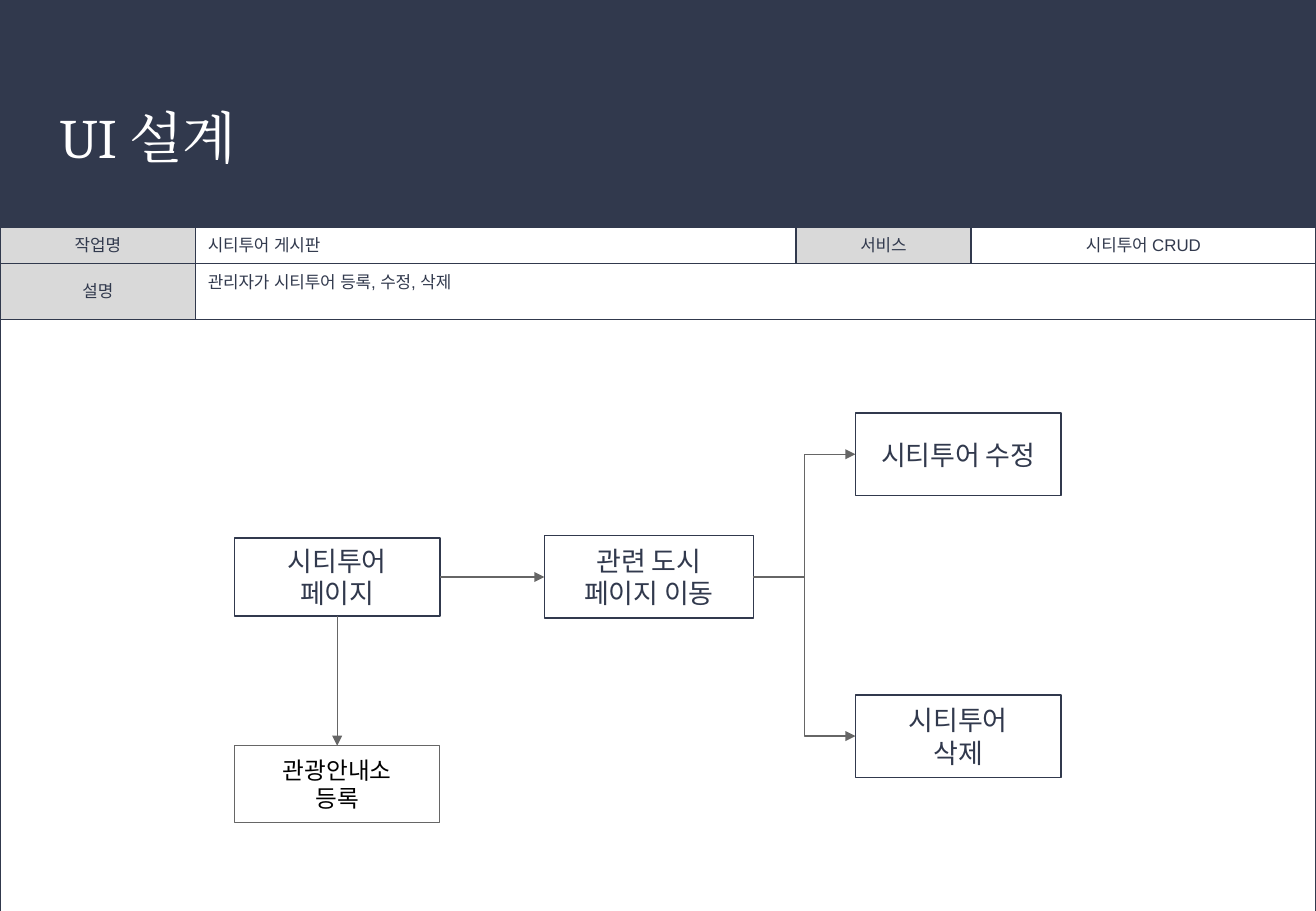
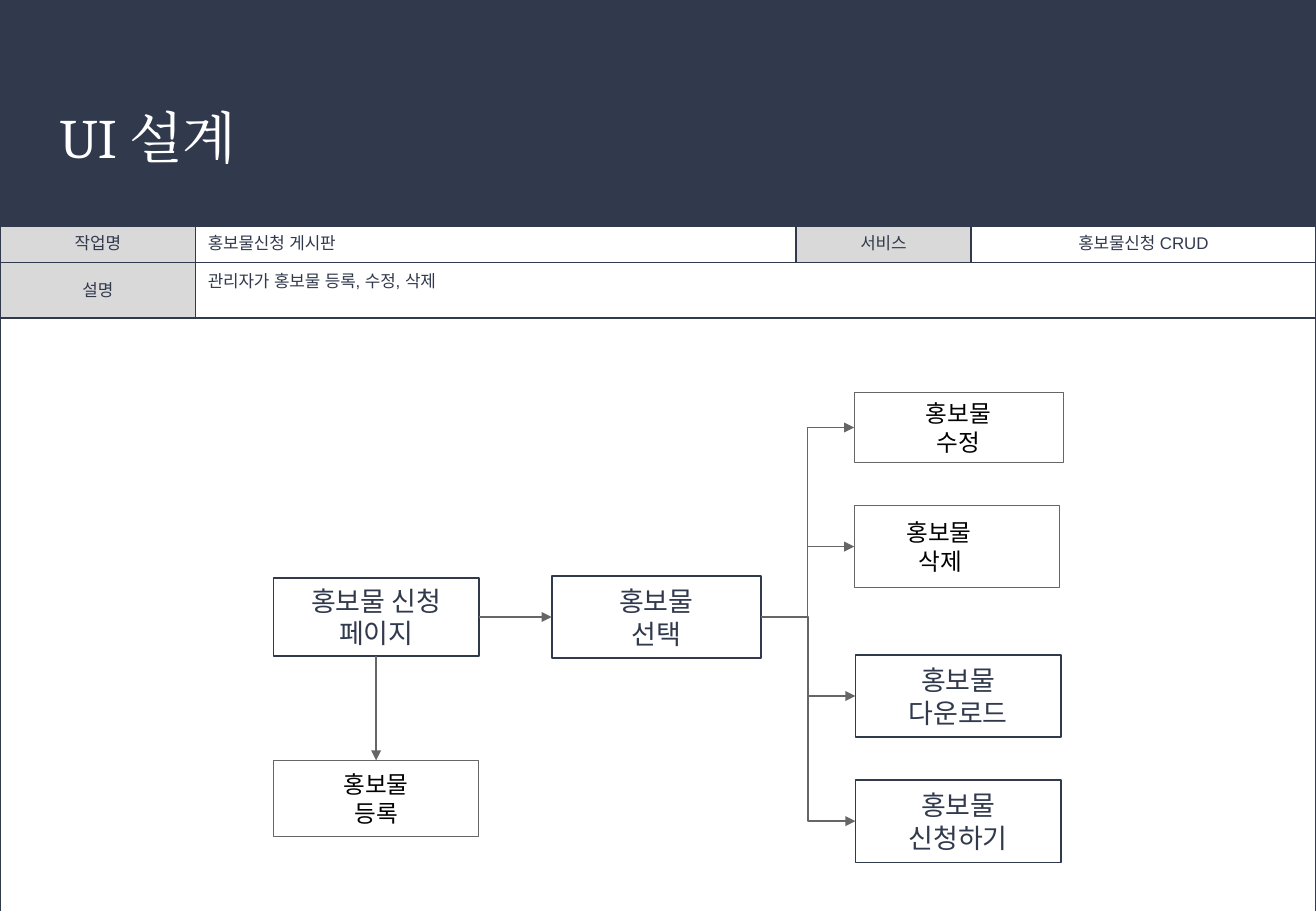
"""Build two UI design slides, each with a task table and a page flow diagram."""
from dataclasses import dataclass

from lxml import etree
from pptx import Presentation
from pptx.dml.color import RGBColor
from pptx.enum.shapes import MSO_CONNECTOR, MSO_SHAPE
from pptx.enum.text import MSO_ANCHOR, MSO_AUTO_SIZE, PP_ALIGN
from pptx.oxml.ns import qn
from pptx.util import Inches, Pt

RECTANGLE = MSO_SHAPE.RECTANGLE
STRAIGHT, ELBOW = MSO_CONNECTOR.STRAIGHT, MSO_CONNECTOR.ELBOW
TOP, MIDDLE = MSO_ANCHOR.TOP, MSO_ANCHOR.MIDDLE
LEFT, CENTER = PP_ALIGN.LEFT, PP_ALIGN.CENTER
NO_AUTOFIT = MSO_AUTO_SIZE.NONE
SIDE_TOP, SIDE_LEFT, SIDE_BOTTOM, SIDE_RIGHT = range(4)

COLORS = {
    "navy": "31394D",
    "label": "D9D9D9",
    "gray": "666666",
    "white": "FFFFFF",
    "black": "000000",
}
SLIDE_WIDTH, SLIDE_HEIGHT = 10.83, 7.5
BAND_HEIGHT = 1.86
COLUMN_WIDTHS = (1.61, 4.94, 1.44, 2.84)
ROW_HEIGHTS = (0.3, 0.46, 4.96)


@dataclass(frozen=True)
class BoxStyle:
    font: str
    size: int
    text: str
    line: str
    line_width: float
    fill: str | None
    inset: float


NAVY_BOX = BoxStyle("Calibri", 16, "navy", "navy", 1, None, 0.05)
GRAY_BOX = BoxStyle("Arial", 14, "black", "gray", 0.75, "white", 0.1)


@dataclass(frozen=True)
class Step:
    key: str
    lines: tuple[str, ...]
    left: float
    top: float
    width: float
    height: float
    style: BoxStyle = NAVY_BOX
    indents: tuple[float, ...] = ()


@dataclass(frozen=True)
class Flow:
    task: str
    service: str
    description: str
    table_top: float
    steps: tuple[Step, ...]


FLOWS = (
    Flow(
        "시티투어 게시판", "시티투어 CRUD", "관리자가 시티투어 등록, 수정, 삭제", 1.87,
        (
            Step("page", ("시티투어", "페이지"), 1.93, 4.43, 1.69, 0.64),
            Step("select", ("관련 도시", "페이지 이동"), 4.48, 4.41, 1.72, 0.68),
            Step("edit", ("시티투어 수정",), 7.04, 3.4, 1.69, 0.68),
            Step("delete", ("시티투어", "삭제"), 7.04, 5.72, 1.69, 0.68),
            Step("register", ("관광안내소", "등록"), 1.93, 6.14, 1.69, 0.63, GRAY_BOX),
        ),
    ),
    Flow(
        "홍보물신청 게시판", "홍보물신청 CRUD", "관리자가 홍보물 등록, 수정, 삭제", 1.86,
        (
            Step("page", ("홍보물 신청", "페이지"), 2.25, 4.76, 1.69, 0.64),
            Step("select", ("홍보물", "선택"), 4.54, 4.74, 1.72, 0.68),
            Step("download", ("홍보물", "다운로드"), 7.04, 5.39, 1.69, 0.68),
            Step("apply", ("홍보물", "신청하기"), 7.04, 6.42, 1.69, 0.68),
            Step("edit", ("홍보물", "수정"), 7.03, 3.23, 1.72, 0.58, GRAY_BOX),
            Step("register", ("홍보물", "등록"), 2.25, 6.26, 1.69, 0.63, GRAY_BOX),
            Step("delete", ("홍보물", "삭제"), 7.03, 4.16, 1.69, 0.68, GRAY_BOX,
                 (0.33, 0.43)),
        ),
    ),
)


def rgb(name: str) -> RGBColor:
    return RGBColor.from_string(COLORS[name])


def format_paragraph(paragraph, font: str, size: int, color: str, align) -> None:
    paragraph.alignment = align
    paragraph.font.name = font
    paragraph.font.size = Pt(size)
    paragraph.font.color.rgb = rgb(color)
    defaults = paragraph._p.get_or_add_pPr().get_or_add_defRPr()
    etree.SubElement(defaults, qn("a:ea")).set("typeface", font)


def add_heading(slide) -> None:
    band = slide.shapes.add_shape(
        RECTANGLE, 0, 0, Inches(SLIDE_WIDTH), Inches(BAND_HEIGHT))
    band.shadow.inherit = False
    band.fill.solid()
    band.fill.fore_color.rgb = rgb("navy")
    band.line.fill.background()
    slide.shapes._spTree.insert(2, band._element)

    title = slide.shapes.title
    title.left, title.top = Inches(0.37), Inches(0.73)
    title.width, title.height = Inches(10.09), Inches(0.91)
    frame = title.text_frame
    frame.text = "UI 설계"
    frame.auto_size = NO_AUTOFIT
    frame.vertical_anchor = TOP
    frame.margin_left = frame.margin_right = Inches(0.12)
    frame.margin_top = frame.margin_bottom = Inches(0.12)
    format_paragraph(frame.paragraphs[0], "Cambria", 33, "white", LEFT)


def add_borders(cell) -> None:
    properties = cell._tc.get_or_add_tcPr()
    for side in ("lnL", "lnR", "lnT", "lnB"):
        border = etree.SubElement(properties, qn(f"a:{side}"), w=str(Pt(1)))
        fill = etree.SubElement(border, qn("a:solidFill"))
        etree.SubElement(fill, qn("a:srgbClr"), val=COLORS["navy"])


def fill_cell(cell, text: str, align, label: bool = False) -> None:
    cell.text = text
    cell.vertical_anchor = MIDDLE
    format_paragraph(cell.text_frame.paragraphs[0], "Arial", 10, "navy", align)
    if label:
        cell.fill.solid()
        cell.fill.fore_color.rgb = rgb("label")


def add_task_table(slide, flow: Flow) -> None:
    table = slide.shapes.add_table(
        len(ROW_HEIGHTS), len(COLUMN_WIDTHS), 0, Inches(flow.table_top),
        Inches(sum(COLUMN_WIDTHS)), Inches(sum(ROW_HEIGHTS))).table
    table.first_row = table.horz_banding = False
    for column, width in zip(table.columns, COLUMN_WIDTHS):
        column.width = Inches(width)
    for row, height in zip(table.rows, ROW_HEIGHTS):
        row.height = Inches(height)
    for cell in table.iter_cells():
        add_borders(cell)
        cell.fill.background()
    table.cell(1, 1).merge(table.cell(1, 3))
    table.cell(2, 0).merge(table.cell(2, 3))

    fill_cell(table.cell(0, 0), "작업명", CENTER, label=True)
    fill_cell(table.cell(0, 1), flow.task, LEFT)
    fill_cell(table.cell(0, 2), "서비스", CENTER, label=True)
    fill_cell(table.cell(0, 3), flow.service, CENTER)
    fill_cell(table.cell(1, 0), "설명", CENTER, label=True)
    description = table.cell(1, 1)
    fill_cell(description, flow.description, LEFT)
    description.vertical_anchor = TOP
    description.margin_top = Inches(0.08)


def add_step(slide, step: Step):
    style = step.style
    box = slide.shapes.add_shape(
        RECTANGLE, Inches(step.left), Inches(step.top),
        Inches(step.width), Inches(step.height))
    box.shadow.inherit = False
    if style.fill:
        box.fill.solid()
        box.fill.fore_color.rgb = rgb(style.fill)
    else:
        box.fill.background()
    box.line.color.rgb = rgb(style.line)
    box.line.width = Pt(style.line_width)

    frame = box.text_frame
    frame.word_wrap = True
    frame.vertical_anchor = MIDDLE
    frame.margin_left = frame.margin_right = Inches(0.1)
    frame.margin_top = frame.margin_bottom = Inches(style.inset)
    frame.text = "\n".join(step.lines)
    align = LEFT if step.indents else CENTER
    for paragraph in frame.paragraphs:
        format_paragraph(paragraph, style.font, style.size, style.text, align)
    for paragraph, indent in zip(frame.paragraphs, step.indents):
        paragraph._p.get_or_add_pPr().set("marL", str(Inches(indent)))
    return box


def add_arrow(slide, kind, source, source_side: int, target, target_side: int) -> None:
    arrow = slide.shapes.add_connector(kind, 0, 0, 0, 0)
    arrow.begin_connect(source, source_side)
    arrow.end_connect(target, target_side)
    arrow.line.color.rgb = rgb("gray")
    arrow.line.width = Pt(0.75)
    etree.SubElement(arrow.line._get_or_add_ln(), qn("a:tailEnd"), type="triangle")
    etree.SubElement(arrow._element.spPr, qn("a:effectLst"))


def add_flow(slide, flow: Flow) -> None:
    boxes = {step.key: add_step(slide, step) for step in flow.steps}
    page = boxes.pop("page")
    select = boxes.pop("select")
    register = boxes.pop("register")
    add_arrow(slide, STRAIGHT, page, SIDE_BOTTOM, register, SIDE_TOP)
    add_arrow(slide, ELBOW, page, SIDE_RIGHT, select, SIDE_LEFT)
    for action in boxes.values():
        add_arrow(slide, ELBOW, select, SIDE_RIGHT, action, SIDE_LEFT)


def main() -> None:
    deck = Presentation()
    deck.slide_width, deck.slide_height = Inches(SLIDE_WIDTH), Inches(SLIDE_HEIGHT)
    title_only = deck.slide_layouts[5]
    for flow in FLOWS:
        slide = deck.slides.add_slide(title_only)
        add_heading(slide)
        add_task_table(slide, flow)
        add_flow(slide, flow)
    deck.save("out.pptx")


if __name__ == "__main__":
    main()
